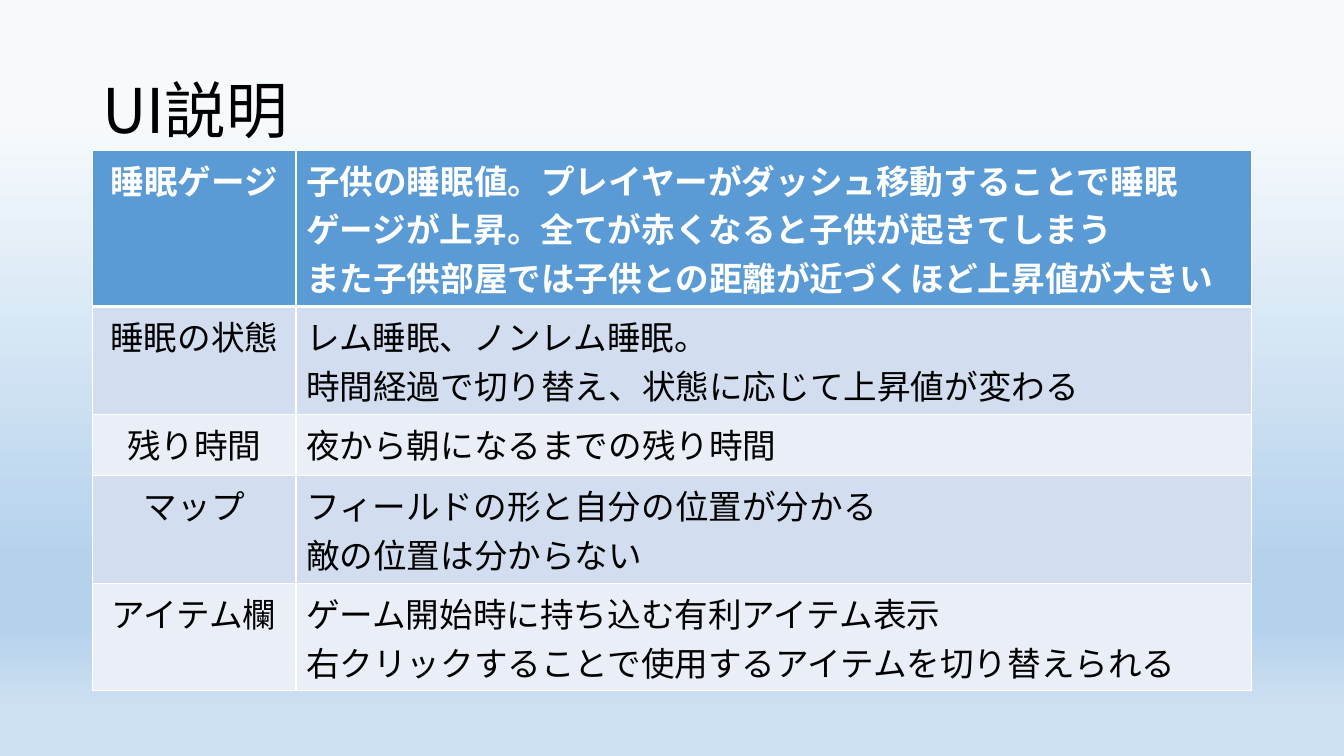
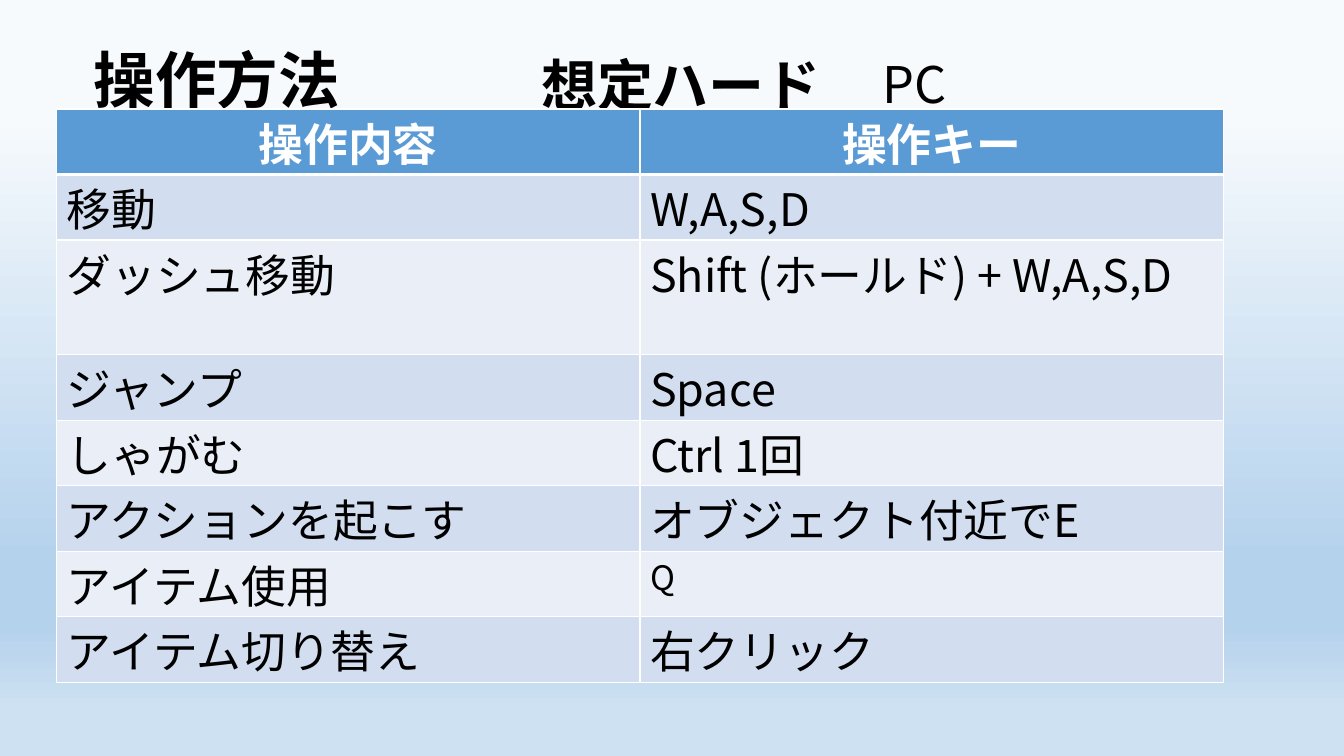
from lxml import etree
from pptx import Presentation
from pptx.dml.color import RGBColor
from pptx.enum import text
from pptx.oxml.ns import qn
from pptx.util import Pt

FONT = "Noto Sans CJK JP"
COLORS = {
    "ink": "000000",
    "white": "FFFFFF",
    "header": "5B9BD5",
    "band_dark": "D2DEEF",
    "band_light": "EAEFF7",
}
SKY = [(15, "F7FAFD"), (74, "B5D2EC"), (83, "B5D2EC"), (94, "CEE1F2")]
LEFT, CENTER = text.PP_ALIGN.LEFT, text.PP_ALIGN.CENTER

UI_ROWS = [
    ("睡眠ゲージ",
     "子供の睡眠値。プレイヤーがダッシュ移動することで睡眠ゲージが上昇。全てが赤くなると子供が起きてしまう\n"
     "また子供部屋では子供との距離が近づくほど上昇値が大きい"),
    ("睡眠の状態", "レム睡眠、ノンレム睡眠。\n時間経過で切り替え、状態に応じて上昇値が変わる"),
    ("残り時間", "夜から朝になるまでの残り時間"),
    ("マップ", "フィールドの形と自分の位置が分かる\n敵の位置は分からない"),
    ("アイテム欄",
     "ゲーム開始時に持ち込む有利アイテム表示\n右クリックすることで使用するアイテムを切り替えられる"),
]
KEY_ROWS = [
    ("操作内容", "操作キー"),
    ("移動", "W,A,S,D"),
    ("ダッシュ移動", "Shift (ホールド) + W,A,S,D"),
    ("ジャンプ", "Space"),
    ("しゃがむ", "Ctrl 1回"),
    ("アクションを起こす", "オブジェクト付近でE"),
    ("アイテム使用", "Q"),
    ("アイテム切り替え", "右クリック"),
]


def write(frame, content, size, color="ink", bold=False, align=LEFT, spacing=None):
    frame.word_wrap = True
    for index, line in enumerate(content.split("\n")):
        paragraph = frame.add_paragraph() if index else frame.paragraphs[0]
        paragraph.alignment = align
        if spacing:
            paragraph.line_spacing = spacing
        run = paragraph.add_run()
        run.text = line
        font = run.font
        font.name, font.size, font.bold = FONT, Pt(size), bold
        font.color.rgb = RGBColor.from_string(COLORS[color])
        etree.SubElement(font._element, qn("a:ea"), typeface=FONT)


def paint_background(master):
    fill = master.background.fill
    fill.gradient()
    fill.gradient_angle = 270
    stops = master.element.find(".//" + qn("a:gsLst"))
    for stop in list(stops):
        stops.remove(stop)
    for position, color in SKY:
        stop = etree.SubElement(stops, qn("a:gs"), pos=str(position * 1000))
        etree.SubElement(stop, qn("a:srgbClr"), val=color)


def add_titled_slide(deck, title, box, bold=False):
    slide = deck.slides.add_slide(deck.slide_layouts[5])
    heading = slide.shapes.title
    heading.left, heading.top, heading.width, heading.height = map(Pt, box)
    frame = heading.text_frame
    frame.auto_size = text.MSO_AUTO_SIZE.NONE
    frame.vertical_anchor = text.MSO_ANCHOR.MIDDLE
    write(frame, title, 44, bold=bold, spacing=0.9)
    return slide


def add_label(slide, content, box, size, bold=False):
    frame = slide.shapes.add_textbox(*map(Pt, box)).text_frame
    write(frame, content, size, bold=bold)
    frame.auto_size = text.MSO_AUTO_SIZE.SHAPE_TO_FIT_TEXT


def add_borders(cell, widths):
    properties = cell._tc.get_or_add_tcPr()
    for index, (side, width) in enumerate(widths.items()):
        line = etree.Element(qn(f"a:ln{side}"), w=str(Pt(width)))
        fill = etree.SubElement(line, qn("a:solidFill"))
        etree.SubElement(fill, qn("a:srgbClr"), val=COLORS["white"])
        properties.insert(index, line)


def add_grid(slide, rows, left, top, widths, heights, size, aligns, header_aligns,
             padding=3.6, special_sizes=None):
    grid = slide.shapes.add_table(len(rows), len(widths), Pt(left), Pt(top),
                                  Pt(sum(widths)), Pt(sum(heights))).table
    for column, width in zip(grid.columns, widths):
        column.width = Pt(width)
    for r, (row, height) in enumerate(zip(rows, heights)):
        grid.rows[r].height = Pt(height)
        is_header = r == 0
        band = "header" if is_header else "band_dark" if r % 2 else "band_light"
        edges = {"L": 1, "R": 1, "T": 3 if r == 1 else 1, "B": 3 if is_header else 1}
        for c, content in enumerate(row):
            cell = grid.cell(r, c)
            cell.margin_top = cell.margin_bottom = Pt(padding)
            cell.fill.solid()
            cell.fill.fore_color.rgb = RGBColor.from_string(COLORS[band])
            add_borders(cell, edges)
            write(cell.text_frame, content, (special_sizes or {}).get(content, size),
                  color="white" if is_header else "ink", bold=is_header,
                  align=(header_aligns if is_header else aligns)[c])


def add_ui_slide(deck):
    slide = add_titled_slide(deck, "UI説明", (66, 28.8, 828, 104.4))
    add_grid(slide, UI_ROWS, 66, 107.3, [145.5, 682.5], [72, 72, 44, 72, 72], 24,
             (CENTER, LEFT), (CENTER, LEFT))


def add_controls_slide(deck):
    slide = add_titled_slide(deck, "操作方法", (59.8, 28, 195.8, 63.4), bold=True)
    add_label(slide, "想定ハード", (379.4, 32.4, 229, 55.4), 40, bold=True)
    add_label(slide, "PC", (623.5, 34.6, 77.8, 51), 36)
    heights = [82 if row[0] == "ダッシュ移動" else 46.8 for row in KEY_ROWS]
    add_grid(slide, KEY_ROWS, 40.3, 77.8, [416.9] * 2, heights, 32,
             (LEFT, LEFT), (CENTER, CENTER), padding=0, special_sizes={"Q": 24})


def main():
    deck = Presentation()
    deck.slide_width, deck.slide_height = Pt(960), Pt(540)
    paint_background(deck.slide_master)
    add_ui_slide(deck)
    add_controls_slide(deck)
    deck.save("out.pptx")


if __name__ == "__main__":
    main()
